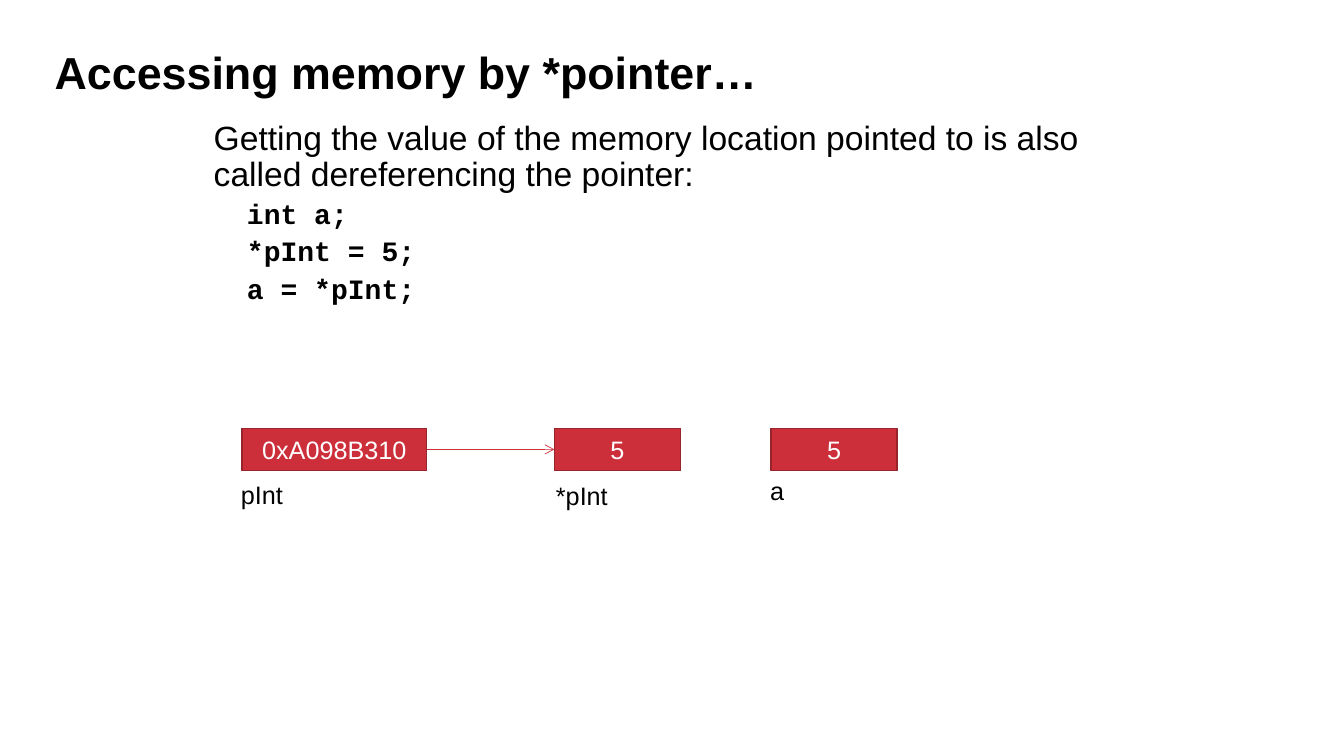
from pptx import Presentation
from pptx.dml.color import RGBColor
from pptx.enum.shapes import MSO_CONNECTOR, MSO_SHAPE
from pptx.enum.text import MSO_ANCHOR, MSO_AUTO_SIZE, PP_ALIGN
from pptx.oxml.ns import qn
from pptx.util import Inches, Pt
from lxml.etree import SubElement

BLACK = RGBColor(0x00, 0x00, 0x00)
WHITE = RGBColor(0xFF, 0xFF, 0xFF)
RED = RGBColor(0xCC, 0x2F, 0x3A)
DARK_RED = RGBColor(0x97, 0x23, 0x2B)


class MemorySlide:
    columns, rows = 160, 90
    sans, mono = "Arial", "Courier New"
    cell_row, cell_height, label_height = 51, 5, 4.8

    def __init__(self, deck):
        self.column = deck.slide_width / self.columns
        self.row = deck.slide_height / self.rows
        self.page = deck.slides.add_slide(deck.slide_layouts[1])

    def area(self, left, top, width, height):
        return (round(left * self.column), round(top * self.row),
                round(width * self.column), round(height * self.row))

    def style(self, paragraph, size, color=BLACK, bold=False, name=sans):
        font = paragraph.font
        font.name, font.size, font.bold = name, Pt(size), bold
        font.color.rgb = color

    def place(self, box, area):
        box.left, box.top, box.width, box.height = self.area(*area)
        frame = box.text_frame
        frame.auto_size = MSO_AUTO_SIZE.NONE
        frame.vertical_anchor = MSO_ANCHOR.TOP
        return frame

    def title(self, text, area):
        frame = self.place(self.page.shapes.title, area)
        frame.text = text
        paragraph = frame.paragraphs[0]
        paragraph.alignment = PP_ALIGN.LEFT
        paragraph.line_spacing = 0.9
        self.style(paragraph, 32, bold=True)

    def body(self, lead, code, area):
        frame = self.place(self.page.placeholders[1], area)
        frame.text = "\n".join([lead, *code])
        for index, paragraph in enumerate(frame.paragraphs):
            is_code = index > 0
            properties = paragraph._p.get_or_add_pPr()
            properties.set("marL", str(Inches(0.35 if is_code else 0.02)))
            properties.set("indent", "0")
            SubElement(properties, qn("a:buNone"))
            paragraph.level = int(is_code)
            paragraph.line_spacing = 0.9
            paragraph.space_before = Pt(5 if is_code else 0)
            if is_code:
                self.style(paragraph, 20, bold=True, name=self.mono)
            else:
                self.style(paragraph, 24)

    def memory_cell(self, value, left, width):
        area = self.area(left, self.cell_row, width, self.cell_height)
        box = self.page.shapes.add_shape(MSO_SHAPE.RECTANGLE, *area)
        box.shadow.inherit = False
        box.fill.solid()
        box.fill.fore_color.rgb = RED
        box.line.color.rgb = DARK_RED
        box.line.width = Pt(1)
        frame = box.text_frame
        frame.text = value
        frame.vertical_anchor = MSO_ANCHOR.MIDDLE
        paragraph = frame.paragraphs[0]
        paragraph.alignment = PP_ALIGN.CENTER
        self.style(paragraph, 18, WHITE)
        return box

    def label(self, text, left, top, width):
        area = self.area(left, top, width, self.label_height)
        frame = self.page.shapes.add_textbox(*area).text_frame
        frame.text = text
        frame.word_wrap = False
        frame.auto_size = MSO_AUTO_SIZE.SHAPE_TO_FIT_TEXT
        self.style(frame.paragraphs[0], 18)

    def arrow(self, source, target):
        line = self.page.shapes.add_connector(MSO_CONNECTOR.STRAIGHT, 0, 0, 0, 0)
        line.begin_connect(source, 3)
        line.end_connect(target, 1)
        line.line.color.rgb = RED
        line.line.width = Pt(0.5)
        SubElement(line.line._get_or_add_ln(), qn("a:tailEnd"), type="arrow")
        SubElement(line._element.spPr, qn("a:effectLst"))


def main():
    deck = Presentation()
    deck.slide_width, deck.slide_height = Inches(13.33), Inches(7.5)
    slide = MemorySlide(deck)
    slide.title("Accessing memory by *pointer…", (5.3, 5.5, 118.4, 13.4))
    slide.body(
        "Getting the value of the memory location pointed to is also called dereferencing the pointer:",
        ["int a;", "*pInt = 5;", "a = *pInt;"],
        (24, 13.8, 115, 34.7),
    )
    pointer = slide.memory_cell("0xA098B310", 28.8, 22)
    target = slide.memory_cell("5", 66, 15)
    slide.memory_cell("5", 91.8, 15)
    slide.arrow(pointer, target)
    slide.label("pInt", 27.5, 56.5, 7.4)
    slide.label("*pInt", 65, 56.6, 9)
    slide.label("a", 90.5, 56, 4.6)
    deck.save("out.pptx")


if __name__ == "__main__":
    main()
